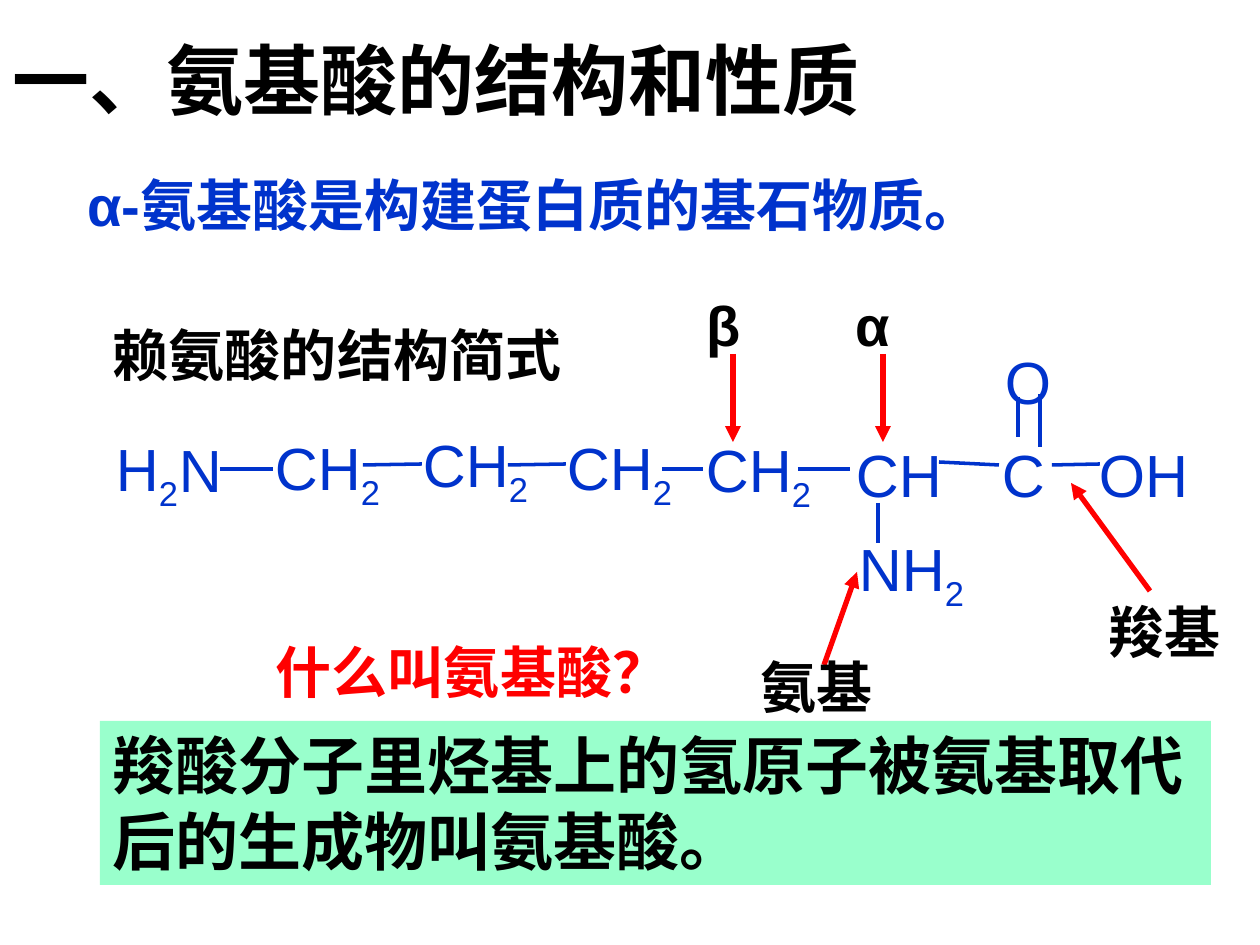
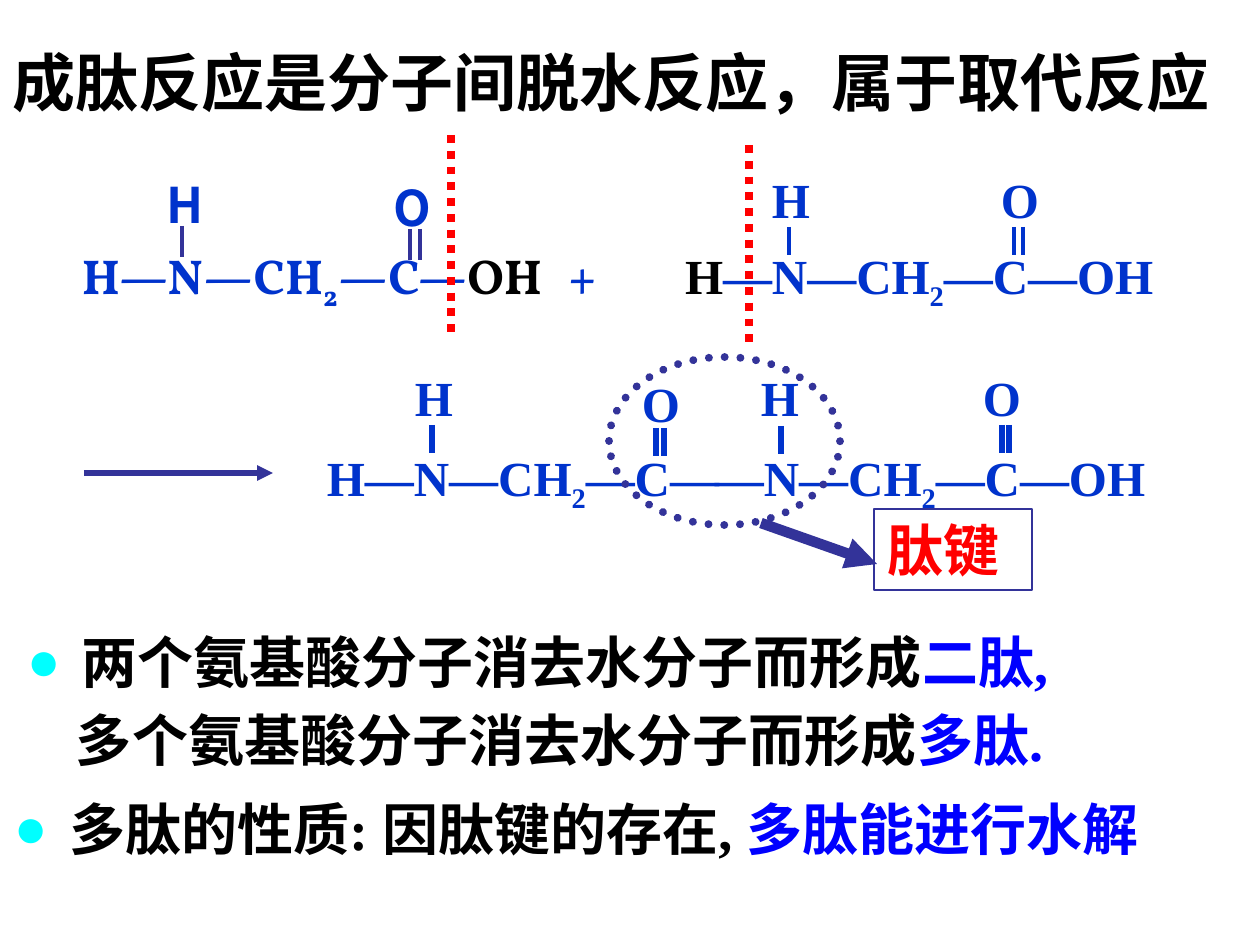
from itertools import groupby

from lxml.etree import SubElement
from pptx import Presentation
from pptx.dml.color import RGBColor
from pptx.enum.dml import MSO_LINE
from pptx.enum.shapes import MSO_CONNECTOR, MSO_SHAPE
from pptx.enum.text import MSO_ANCHOR, MSO_AUTO_SIZE, PP_ALIGN
from pptx.oxml.ns import qn
from pptx.util import Emu, Pt

SCALE = 914400 / 126
WIDE, HIGH = 1260, 945
HAN, SANS, SERIF = "Noto Sans CJK SC", "Arial", "Times New Roman"
INK = {
    "black": "000000",
    "red": "FF0000",
    "bond": "0033CC",
    "navy": "333399",
    "key": "0000FF",
    "dot": "00FFFF",
    "mint": "99FFCC",
}


def px(num):
    return Emu(round(num * SCALE))


def ink(name):
    return RGBColor.from_string(INK[name])


def style(par, size, face, color, bold=True):
    par.alignment = PP_ALIGN.LEFT
    font = par.font
    font.size, font.bold = Pt(size), bold
    font.color.rgb = ink(color)
    font.name = face
    SubElement(font._element, qn("a:ea")).set("typeface", HAN)


def write(par, *parts):
    """Add plain strings or (text, color) pairs; digits become subscripts."""
    for part in parts:
        text, color = (part, None) if isinstance(part, str) else part
        for low, chars in groupby(text, str.isdigit):
            run = par.add_run()
            run.text = "".join(chars)
            if color:
                run.font.color.rgb = ink(color)
            if low:
                run._r.get_or_add_rPr().set("baseline", "-25000")


def frame(shape, anchor=MSO_ANCHOR.TOP, inset=True):
    text = shape.text_frame
    text.word_wrap = True
    text.auto_size = MSO_AUTO_SIZE.NONE
    text.vertical_anchor = anchor
    text.margin_left = text.margin_right = px(13 if inset else 0)
    text.margin_top = text.margin_bottom = px(6 if inset else 0)
    return text


def place(shape, left, top, width, height):
    shape.left, shape.top = px(left), px(top)
    shape.width, shape.height = px(width), px(height)


def title(slide, text, top, height, size, face):
    shape = slide.shapes.title
    place(shape, 0, top, WIDE, height)
    par = frame(shape, MSO_ANCHOR.MIDDLE).paragraphs[0]
    style(par, size, face, "black")
    write(par, text)


def label(slide, parts, left, top, width, size=32, face=SANS,
          color="black", bold=True, inset=True):
    box = slide.shapes.add_textbox(px(left), px(top), px(width), px(80))
    par = frame(box, inset=inset).paragraphs[0]
    style(par, size, face, color, bold)
    write(par, *parts)


def panel(slide, kind, left, top, width, height, fill=None, edge=None, weight=1):
    shape = slide.shapes.add_shape(kind, px(left), px(top), px(width), px(height))
    shape.shadow.inherit = False
    if fill:
        shape.fill.solid()
        shape.fill.fore_color.rgb = ink(fill)
    else:
        shape.fill.background()
    if edge:
        shape.line.color.rgb = ink(edge)
        shape.line.width = Pt(weight)
    else:
        shape.line.fill.background()
    return shape


def stroke(slide, ends, color="bond", weight=2, head=False, dots=False):
    line = slide.shapes.add_connector(MSO_CONNECTOR.STRAIGHT, *map(px, ends))
    line.line.color.rgb = ink(color)
    line.line.width = Pt(weight)
    if dots:
        line.line.dash_style = MSO_LINE.ROUND_DOT
    if head:
        tail = SubElement(line.line._get_or_add_ln(), qn("a:tailEnd"))
        tail.set("type", "triangle")
    SubElement(line._element.spPr, qn("a:effectLst"))


def bullet(par, left, hang):
    """Indent a paragraph; give it a round bullet when it hangs."""
    props = par._p.get_or_add_pPr()
    props.set("marL", str(px(left)))
    props.set("indent", str(px(-hang)))
    if not hang:
        SubElement(props, qn("a:buNone"))
        return
    tint = SubElement(props, qn("a:buClr"))
    SubElement(tint, qn("a:srgbClr")).set("val", INK["dot"])
    SubElement(props, qn("a:buFont")).set("typeface", SERIF)
    SubElement(props, qn("a:buChar")).set("char", "●")


def lysine(slide):
    chain = [
        ("H2", 116, 432), ("N", 179, 433), ("CH2", 275, 431),
        ("CH2", 423, 428), ("CH2", 567, 431), ("CH2", 706, 433),
        ("CH", 856, 438), ("C", 1002, 438), ("O", 1005, 345),
        ("OH", 1099, 438), ("NH2", 859, 532),
    ]
    bonds = [
        (220, 469, 273, 469), (363, 465, 422, 464), (508, 465, 566, 464),
        (662, 469, 703, 469), (798, 469, 850, 469), (939, 462, 999, 465),
        (1052, 465, 1100, 464), (1018, 437, 1018, 397),
        (1040, 447, 1040, 394), (878, 503, 878, 543),
    ]
    for text, left, top in chain:
        label(slide, [text], left, top, 127, 34, color="bond",
              bold=False, inset=False)
    for ends in bonds:
        stroke(slide, ends)


def acid_slide(deck):
    slide = deck.slides.add_slide(deck.slide_layouts[5])
    title(slide, "一、氨基酸的结构和性质", 0, 157, 44, "Montserrat")
    label(slide, ["α-氨基酸是构建蛋白质的基石物质。"], 74, 165, 1142, color="bond")
    label(slide, ["赖氨酸的结构简式"], 100, 314, 580, face=HAN)
    label(slide, ["什么叫氨基酸？"], 263, 631, 480, color="red")

    marks = [
        ("氨基", 748, 646, (824, 665, 857, 572)),
        ("羧基", 1096, 591, (1150, 591, 1071, 483)),
        ("α", 843, 284, (883, 354, 883, 442)),
        ("β", 694, 284, (733, 354, 733, 442)),
    ]
    for text, left, top, ends in marks:
        stroke(slide, ends, "red", 3, head=True)
        label(slide, [text], left, top, 164)

    rule = panel(slide, MSO_SHAPE.RECTANGLE, 100, 721, 1111, 164, "mint")
    par = frame(rule).paragraphs[0]
    style(par, 36, HAN, "black")
    write(par, "羧酸分子里烃基上的氢原子被氨基取代后的生成物叫氨基酸。")
    lysine(slide)


def atoms(slide, items, face=SERIF):
    for text, left, top in items:
        label(slide, [text], left, top, 90, 28, face, "bond")


def bonds(slide, spots, length, color="bond", weight=2.25):
    for left, top in spots:
        stroke(slide, (left, top, left, top + length), color, weight)


def chain(slide, parts, left, top, width, face=SERIF):
    label(slide, parts, left, top, width, 28, face, "bond")


def start(slide):
    """Draw the two amino acids that react."""
    atoms(slide, [("O", 381, 171), ("H", 154, 168)], HAN)
    chain(slide, ["H—N—CH2—C—", ("OH", "black")], 69, 239, 564, "Vollkorn")
    chain(slide, ["+"], 556, 239, 70, "Vollkorn")
    bonds(slide, [(182, 226), (410, 229), (420, 229)], 31, "navy")
    atoms(slide, [("O", 988, 163), ("H", 759, 163)])
    chain(slide, [("H", "black"), "—N—CH2—C—OH"], 672, 239, 588)
    bonds(slide, [(789, 227), (1014, 227), (1023, 227)], 28)
    for left, top in [(451, 135), (749, 145)]:
        stroke(slide, (left, top, left, top + 199), "red", 4.5, dots=True)


def yield_part(slide):
    """Draw the dipeptide and mark its peptide bond."""
    stroke(slide, (84, 473, 273, 473), "navy", 3, head=True)
    atoms(slide, [("H", 402, 362), ("O", 629, 368), ("H", 748, 362), ("O", 970, 362)])
    chain(slide, ["H—N—CH2—C—"], 314, 441, 455)
    chain(slide, ["—N—CH2—C—OH"], 702, 441, 558)
    spots = [(432, 425), (656, 428), (664, 428), (781, 426), (1002, 425), (1009, 425)]
    bonds(slide, spots, 28, weight=3)

    ring = panel(slide, MSO_SHAPE.OVAL, 609, 357, 231, 168, edge="navy", weight=4.5)
    ring.line.dash_style = MSO_LINE.ROUND_DOT
    ring.line._get_or_add_ln().set("cap", "rnd")
    stroke(slide, (761, 523, 877, 564), "navy", 6, head=True)
    tag = panel(slide, MSO_SHAPE.RECTANGLE, 874, 509, 158, 81, edge="navy", weight=0.75)
    par = frame(tag).paragraphs[0]
    style(par, 32, SERIF, "red")
    write(par, "肽键")


def facts(slide):
    body = slide.placeholders[1]
    place(body, 0, 608, WIDE, 300)
    text = frame(body)
    rows = [
        (68, 54, 1.2, 0, "两个氨基酸分子消去水分子而形成", "二肽,"),
        (63, 0, 0.6, 20, "多个氨基酸分子消去水分子而形成", "多肽."),
        (56, 55, 1.0, 14, "多肽的性质: 因肽键的存在, ", "多肽能进行水解"),
    ]
    for num, (left, hang, lead, gap, lines, key) in enumerate(rows):
        par = text.add_paragraph() if num else text.paragraphs[0]
        bullet(par, left, hang)
        par.line_spacing = lead
        par.space_before = Pt(gap)
        style(par, 32, SERIF, "black")
        write(par, lines, (key, "key"))


def peptide_slide(deck):
    slide = deck.slides.add_slide(deck.slide_layouts[1])
    title(slide, "成肽反应是分子间脱水反应，属于取代反应", 37, 88, 36, HAN)
    start(slide)
    yield_part(slide)
    facts(slide)


def main():
    deck = Presentation()
    deck.slide_width, deck.slide_height = px(WIDE), px(HIGH)
    acid_slide(deck)
    peptide_slide(deck)
    deck.save("out.pptx")


if __name__ == "__main__":
    main()
